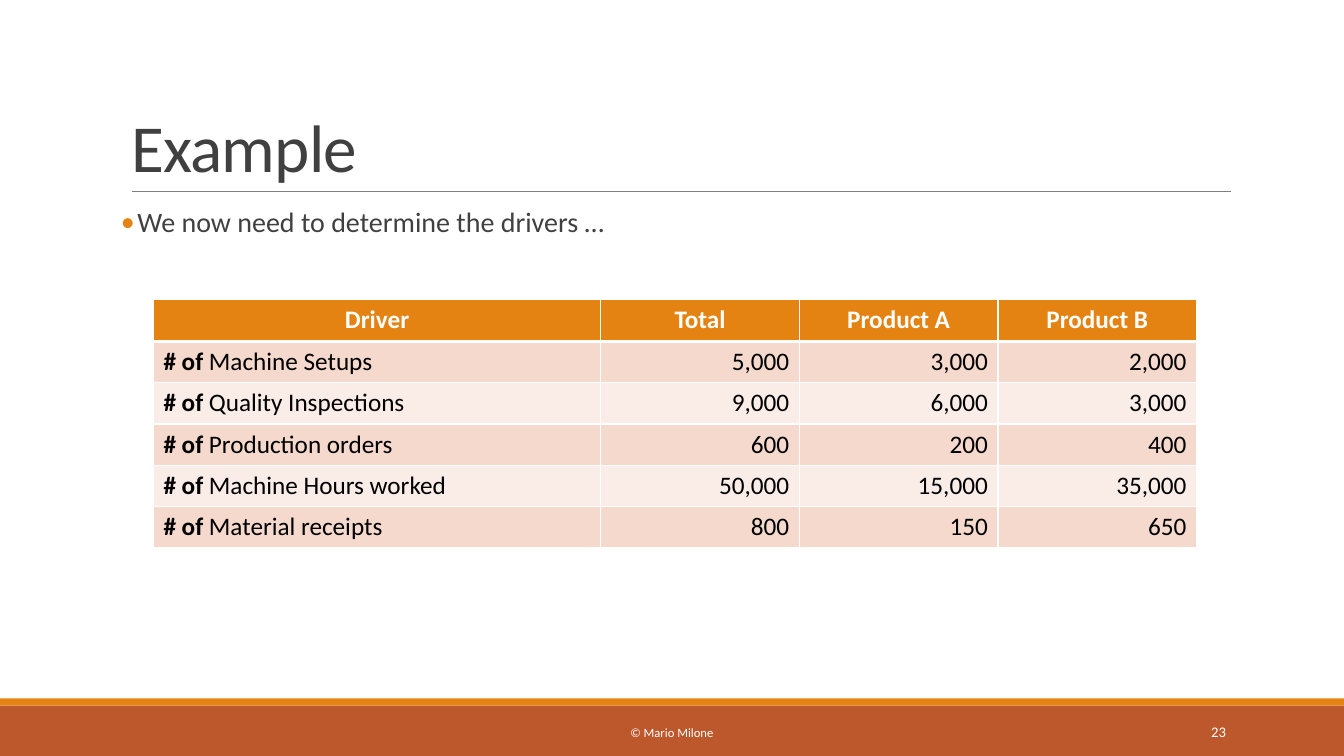
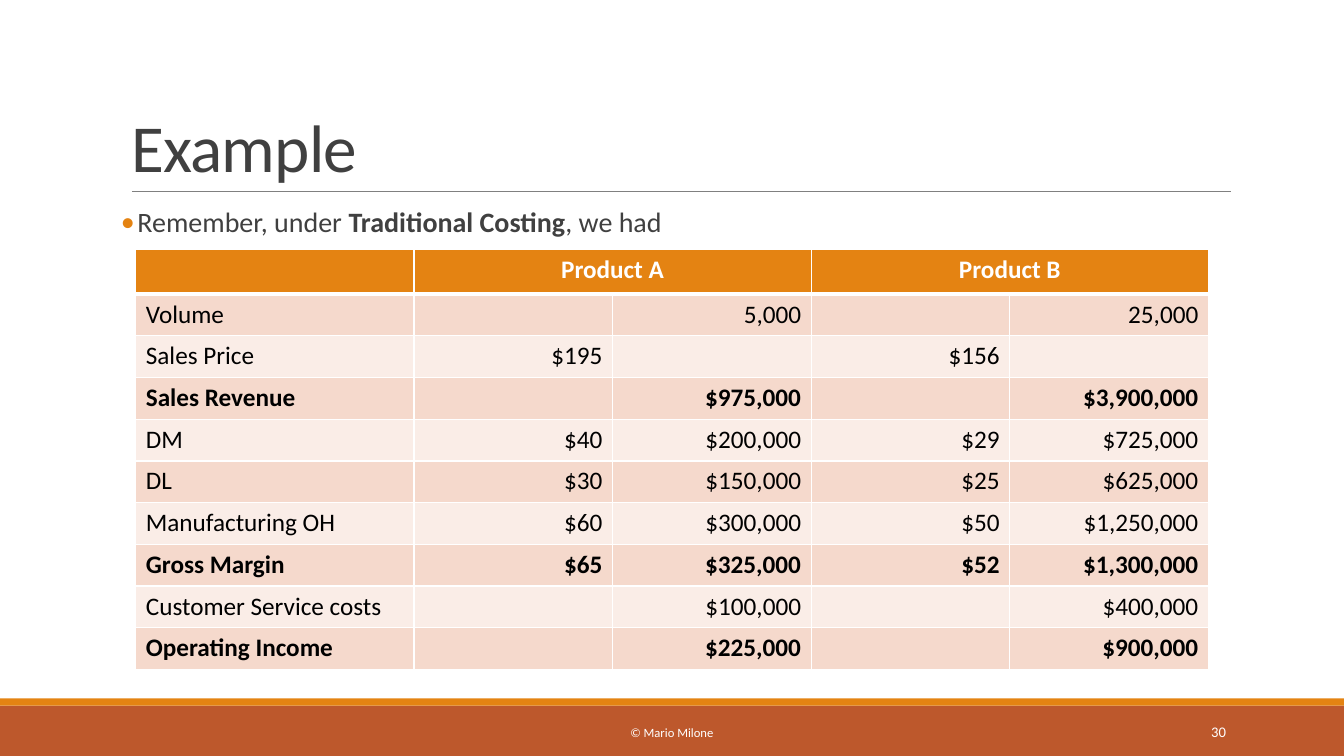
from dataclasses import dataclass
from typing import Optional

from lxml.etree import SubElement
from pptx import Presentation
from pptx.dml.color import RGBColor
from pptx.enum.shapes import MSO_CONNECTOR, MSO_SHAPE
from pptx.enum.text import MSO_ANCHOR, MSO_AUTO_SIZE, PP_ALIGN
from pptx.oxml.ns import qn
from pptx.util import Pt


@dataclass(frozen=True)
class Theme:
    font: str = "Calibri"
    rust: str = "BD582C"
    gold: str = "E48312"
    rule: str = "808080"
    ink: str = "404040"
    black: str = "000000"
    white: str = "FFFFFF"
    tints: tuple = ("F5D9CC", "FAEDE7")
    title: float = 48
    body: float = 20
    cell: float = 18
    foot: float = 9
    page: float = 10.5


@dataclass(frozen=True)
class Box:
    left: float
    top: float
    width: float
    height: float

    def spots(self) -> tuple:
        return Pt(self.left), Pt(self.top), Pt(self.width), Pt(self.height)


@dataclass(frozen=True)
class Band:
    box: Box
    fill: str


@dataclass(frozen=True)
class Note:
    box: Box
    size: float
    align: PP_ALIGN


@dataclass(frozen=True)
class Row:
    cells: tuple
    bold: bool = False


@dataclass(frozen=True)
class Grid:
    left: float
    top: float
    first: float
    head: float
    high: float
    heads: tuple
    rows: tuple


@dataclass(frozen=True)
class Page:
    title: str
    lead: str
    number: str
    grid: Grid


THEME = Theme()
WIDE, HIGH = 960, 540
TITLE = Box(86.4, 22.3, 792, 114.5)
BODY = Box(86.4, 145.4, 792, 316.8)
HANG = 11.7
RULE = (94.3, 137, 879.1)
COLUMN = 141.9
THIN, THICK = 1, 3
BANDS = (
    Band(Box(0, 504, WIDE, 36), THEME.rust),
    Band(Box(0, 498.8, WIDE, 5.2), THEME.gold),
)
FOOT = Note(Box(290.2, 508.6, 379.4, 28.7), THEME.foot, PP_ALIGN.CENTER)
COUNT = Note(Box(779.8, 508.6, 103, 28.7), THEME.page, PP_ALIGN.RIGHT)
OWNER = "© Mario Milone"

PAGES = (
    Page("Example", "We now need to determine the drivers …", "23", Grid(
        109.6, 214, 319.5, 29.9, 29.5,
        ("Driver", "Total", "Product A", "Product B"),
        (
            Row(("*# of *Machine Setups", "5,000", "3,000", "2,000")),
            Row(("*# of *Quality Inspections", "9,000", "6,000", "3,000")),
            Row(("*# of *Production orders", "600", "200", "400")),
            Row(("*# of *Machine Hours worked", "50,000", "15,000", "35,000")),
            Row(("*# of *Material receipts", "800", "150", "650")),
        ),
    )),
    Page("Example", "Remember, under *Traditional Costing*, we had", "30", Grid(
        97, 178.5, 198.7, 31.6, 29.8,
        ("", "Product A", None, "Product B", None),
        (
            Row(("Volume", "", "5,000", "", "25,000")),
            Row(("Sales Price", "$195", "", "$156", "")),
            Row(("Sales Revenue", "", "$975,000", "", "$3,900,000"), True),
            Row(("DM", "$40", "$200,000", "$29", "$725,000")),
            Row(("DL", "$30", "$150,000", "$25", "$625,000")),
            Row(("Manufacturing OH", "$60", "$300,000", "$50", "$1,250,000")),
            Row(("Gross Margin", "$65", "$325,000", "$52", "$1,300,000"), True),
            Row(("Customer Service costs", "", "$100,000", "", "$400,000")),
            Row(("Operating Income", "", "$225,000", "", "$900,000"), True),
        ),
    )),
)


def tint(code: str) -> RGBColor:
    return RGBColor.from_string(code)


def write(para, text: str, size: float, ink: str, align: PP_ALIGN,
          bold: Optional[bool] = False) -> None:
    parts = text.split("*")
    mixed = len(parts) > 1
    for spot, part in enumerate(parts):
        if part:
            run = para.add_run()
            run.text = part
            if mixed:
                run.font.bold = spot % 2 == 1
    para.alignment = align
    font = para.font
    font.name, font.size = THEME.font, Pt(size)
    font.color.rgb = tint(ink)
    if not mixed:
        font.bold = bold


def place(shape, box: Box) -> None:
    shape.left, shape.top, shape.width, shape.height = box.spots()


def draw_band(slide, band: Band) -> None:
    shape = slide.shapes.add_shape(MSO_SHAPE.RECTANGLE, *band.box.spots())
    shape.shadow.inherit = False
    shape.fill.solid()
    shape.fill.fore_color.rgb = tint(band.fill)
    shape.line.fill.background()


def draw_rule(slide) -> None:
    left, top, right = RULE
    line = slide.shapes.add_connector(
        MSO_CONNECTOR.STRAIGHT, Pt(left), Pt(top), Pt(right), Pt(top))
    line.line.color.rgb = tint(THEME.rule)
    line.line.width = Pt(0.5)
    SubElement(line._element.spPr, qn("a:effectLst"))


def draw_title(slide, text: str) -> None:
    shape = slide.shapes.title
    place(shape, TITLE)
    frame = shape.text_frame
    frame.auto_size = MSO_AUTO_SIZE.NONE
    frame.vertical_anchor = MSO_ANCHOR.BOTTOM
    para = frame.paragraphs[0]
    para.line_spacing = 0.85
    write(para, text, THEME.title, THEME.ink, PP_ALIGN.LEFT)
    para._p.pPr.find(qn("a:defRPr")).set("spc", "-50")


def draw_lead(slide, text: str) -> None:
    shape = slide.placeholders[1]
    place(shape, BODY)
    frame = shape.text_frame
    frame.auto_size = MSO_AUTO_SIZE.NONE
    frame.margin_left = frame.margin_right = Pt(0)
    para = frame.paragraphs[0]
    props = para._p.get_or_add_pPr()
    props.set("marL", str(Pt(HANG)))
    props.set("indent", str(-Pt(HANG)))
    hue = SubElement(props, qn("a:buClr"))
    SubElement(hue, qn("a:srgbClr"), val=THEME.gold)
    SubElement(props, qn("a:buFont"), typeface=THEME.font)
    SubElement(props, qn("a:buChar"), char="•")
    para.line_spacing = 0.9
    para.space_before, para.space_after = Pt(0), Pt(2)
    write(para, text, THEME.body, THEME.ink, PP_ALIGN.LEFT)


def draw_note(slide, note: Note, text: str) -> None:
    frame = slide.shapes.add_textbox(*note.box.spots()).text_frame
    frame.word_wrap = True
    frame.vertical_anchor = MSO_ANCHOR.MIDDLE
    write(frame.paragraphs[0], text, note.size, THEME.white, note.align)


def paint(cell, fill: str, above: float, below: float) -> None:
    props = cell._tc.get_or_add_tcPr()
    edges = {"L": THIN, "R": THIN, "T": above, "B": below}
    for side, width in edges.items():
        line = SubElement(props, qn(f"a:ln{side}"), w=str(Pt(width)))
        solid = SubElement(line, qn("a:solidFill"))
        SubElement(solid, qn("a:srgbClr"), val=THEME.white)
    cell.fill.solid()
    cell.fill.fore_color.rgb = tint(fill)


def draw_grid(slide, grid: Grid) -> None:
    count, deep = len(grid.heads), len(grid.rows)
    box = Box(grid.left, grid.top, grid.first + COLUMN * (count - 1),
              grid.head + grid.high * deep)
    table = slide.shapes.add_table(deep + 1, count, *box.spots()).table
    table.horz_banding = False
    for spot, column in enumerate(table.columns):
        column.width = Pt(COLUMN if spot else grid.first)
    for spot, row in enumerate(table.rows):
        row.height = Pt(grid.high if spot else grid.head)
    for spot, text in enumerate(grid.heads):
        cell = table.cell(0, spot)
        paint(cell, THEME.gold, THIN, THICK)
        if text is None:
            table.cell(0, spot - 1).merge(cell)
        else:
            write(cell.text_frame.paragraphs[0], text, THEME.cell,
                  THEME.white, PP_ALIGN.CENTER, True)
    for down, row in enumerate(grid.rows):
        for spot, text in enumerate(row.cells):
            cell = table.cell(down + 1, spot)
            paint(cell, THEME.tints[down % 2], THIN if down else THICK, THIN)
            write(cell.text_frame.paragraphs[0], text, THEME.cell, THEME.black,
                  PP_ALIGN.RIGHT if spot else PP_ALIGN.LEFT, row.bold)


def draw_page(deck, page: Page) -> None:
    slide = deck.slides.add_slide(deck.slide_layouts[1])
    for band in BANDS:
        draw_band(slide, band)
    draw_rule(slide)
    draw_title(slide, page.title)
    draw_lead(slide, page.lead)
    draw_note(slide, FOOT, OWNER)
    draw_note(slide, COUNT, page.number)
    draw_grid(slide, page.grid)


def main() -> None:
    deck = Presentation()
    deck.slide_width, deck.slide_height = Pt(WIDE), Pt(HIGH)
    for page in PAGES:
        draw_page(deck, page)
    deck.save("out.pptx")


if __name__ == "__main__":
    main()
